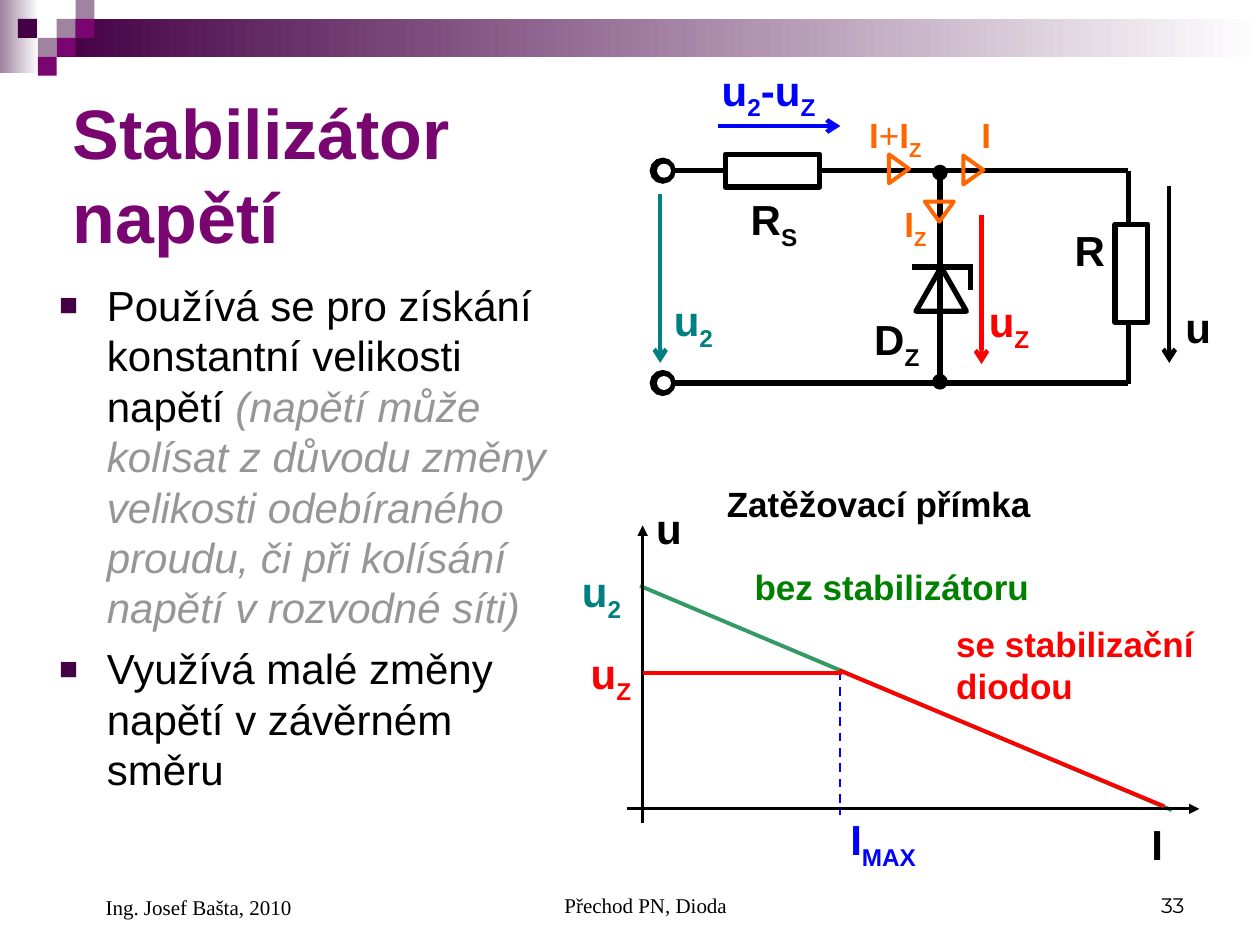
from typing import NamedTuple

from lxml import etree
from pptx import Presentation
from pptx.dml.color import RGBColor
from pptx.enum.dml import MSO_LINE
from pptx.enum.shapes import MSO_CONNECTOR, MSO_SHAPE
from pptx.enum.text import MSO_ANCHOR, PP_ALIGN
from pptx.oxml.ns import qn
from pptx.util import Inches, Pt

RECT, OVAL, TRI = MSO_SHAPE.RECTANGLE, MSO_SHAPE.OVAL, MSO_SHAPE.ISOSCELES_TRIANGLE
STRAIGHT, DASH = MSO_CONNECTOR.STRAIGHT, MSO_LINE.DASH
TOP, MIDDLE, BOTTOM = MSO_ANCHOR.TOP, MSO_ANCHOR.MIDDLE, MSO_ANCHOR.BOTTOM
LEFT, CENTER, RIGHT = PP_ALIGN.LEFT, PP_ALIGN.CENTER, PP_ALIGN.RIGHT


class Theme:
    black, white, grey = "000000", "FFFFFF", "969696"
    dark, plum, mauve = "440044", "790571", "9F839F"
    teal, red, blue, orange = "008080", "FF0000", "0000FF", "FF6600"
    green, sea = "008000", "339966"
    title, body, note, footer = 40, 24, 20, 12
    wire, arrow, mark, axis, guide = 3, 2.5, 2.25, 1.75, 1.25
    sans, serif, number = "Arial", "Times New Roman", "Montserrat"


class Box(NamedTuple):
    """Left, top, width and height in grid columns and rows."""
    x: float
    y: float
    w: float
    h: float


class Wire(NamedTuple):
    x1: float
    y1: float
    x2: float
    y2: float
    color: str = Theme.black
    width: float = Theme.wire
    head: str = ""
    tail: str = ""
    end_size: str = "med"
    dash: bool = False


class Label(NamedTuple):
    """Text where every second part between bars is a subscript."""
    text: str
    box: Box
    color: str = Theme.black
    size: float = Theme.body


class Footer(NamedTuple):
    text: str
    box: Box
    align: PP_ALIGN
    font: str
    indent: float


prs = Presentation()
prs.slide_width, prs.slide_height = Inches(10), Inches(7.5)
COL, ROW = prs.slide_width / 100, prs.slide_height / 75
s = prs.slides.add_slide(prs.slide_layouts[6])


def place(box: Box) -> tuple:
    return int(box.x * COL), int(box.y * ROW), int(box.w * COL), int(box.h * ROW)


def rgb(color: str) -> RGBColor:
    return RGBColor.from_string(color)


def add_shape(kind: MSO_SHAPE, box: Box, fill: str = "", line: str = "",
              width: float = Theme.wire, rotation: float = 0, fade: bool = False) -> None:
    sp = s.shapes.add_shape(kind, *place(box))
    sp.shadow.inherit = False
    sp.rotation = rotation
    if fade:
        sp.fill.gradient()
        sp.fill.gradient_angle = 180
        for stop, color in zip(sp.fill.gradient_stops, (Theme.white, fill)):
            stop.color.rgb = rgb(color)
        sp.fill.gradient_stops[0].position, sp.fill.gradient_stops[1].position = 0, 1
    elif fill:
        sp.fill.solid()
        sp.fill.fore_color.rgb = rgb(fill)
    else:
        sp.fill.background()
    if line:
        sp.line.color.rgb, sp.line.width = rgb(line), Pt(width)
    else:
        sp.line.fill.background()


def add_wire(wire: Wire) -> None:
    ends = [int(v * unit) for v, unit in zip(wire[:4], (COL, ROW, COL, ROW))]
    sp = s.shapes.add_connector(STRAIGHT, *ends)
    sp.line.color.rgb, sp.line.width = rgb(wire.color), Pt(wire.width)
    if wire.dash:
        sp.line.dash_style = DASH
    ln = sp.line._get_or_add_ln()
    for tag, end in (("a:headEnd", wire.head), ("a:tailEnd", wire.tail)):
        if end:
            etree.SubElement(ln, qn(tag), type=end, w=wire.end_size, len=wire.end_size)
    etree.SubElement(sp._element.spPr, qn("a:effectLst"))


def add_frame(box: Box, anchor: MSO_ANCHOR = TOP):
    tf = s.shapes.add_textbox(*place(box)).text_frame
    tf.word_wrap, tf.vertical_anchor = True, anchor
    return tf


def add_run(p, text: str, color: str, size: float, name: str = Theme.sans, **style):
    r = p.add_run()
    r.text = text
    r.font.color.rgb = rgb(color)
    for key, value in {"size": Pt(size), "name": name, **style}.items():
        setattr(r.font, key, value)
    return r


def add_label(label: Label) -> None:
    p = add_frame(label.box).paragraphs[0]
    for i, part in enumerate(label.text.split("|")):
        if part:
            r = add_run(p, part, label.color, label.size, bold=part != "+")
            if i % 2:
                r.font._element.set("baseline", "-25000")


def add_bullet(p, color: str) -> None:
    pPr = p._p.get_or_add_pPr()
    pPr.set("marL", str(Inches(0.38)))
    pPr.set("indent", str(-Inches(0.38)))
    clr = etree.SubElement(pPr, qn("a:buClr"))
    etree.SubElement(clr, qn("a:srgbClr"), val=color)
    etree.SubElement(pPr, qn("a:buSzPct"), val="75000")
    etree.SubElement(pPr, qn("a:buFont"), typeface=Theme.sans)
    etree.SubElement(pPr, qn("a:buChar"), char="■")


# Header band and its checkered squares
add_shape(RECT, Box(0, 0, 3.1, 5.8), Theme.mauve, fade=True)
add_shape(RECT, Box(4.5, 1.5, 95.5, 3), Theme.dark, fade=True)
TILE = 1.5
for col, row, color in ((3, 1, Theme.mauve), (4, 0, Theme.mauve), (4, 1, Theme.plum),
                        (2, 2, Theme.mauve), (0.95, 1, Theme.dark),
                        (3, 2, Theme.plum), (2, 3, Theme.plum)):
    add_shape(RECT, Box(col * TILE, row * TILE, TILE, TILE), color)

# Title and bullets
p = add_frame(Box(4.8, 6, 40.7, 15.5), MIDDLE).paragraphs[0]
add_run(p, "Stabilizátor napětí", Theme.plum, Theme.title, bold=True)
BULLETS = (
    ("Používá se pro získání konstantní velikosti napětí ",
     "(napětí může kolísat z důvodu změny velikosti odebíraného proudu, "
     "či při kolísání napětí v rozvodné síti)"),
    ("Využívá malé změny napětí v závěrném směru", ""),
)
tf = add_frame(Box(3.7, 21.7, 42.2, 43))
for i, (fact, aside) in enumerate(BULLETS):
    p = tf.add_paragraph() if i else tf.paragraphs[0]
    p.space_before = Pt(6 if i else 0)
    add_bullet(p, Theme.dark)
    add_run(p, fact, Theme.black, Theme.body)
    if aside:
        add_run(p, aside, Theme.grey, Theme.body, italic=True)

# Circuit: voltage arrows, Zener branch, load and terminals
UPPER, LOWER, NODE, LOAD = 13.55, 30.4, 74.6, 89.55
for wire in (
    Wire(52.4, 15.4, 52.4, 28.8, Theme.teal, Theme.arrow, tail="arrow"),
    Wire(77.9, 17.1, 77.9, 28.9, Theme.red, Theme.arrow, tail="arrow"),
    Wire(57, 10, 66.7, 10, Theme.blue, Theme.arrow, tail="arrow"),
    Wire(92.8, 14.8, 92.8, 28.8, width=Theme.arrow, tail="arrow"),
    Wire(NODE, 30.3, NODE, 13.7, head="oval", tail="oval"),
    Wire(77.2, 21.2, 72.4, 21.2),
    Wire(77, 23, 77, 21.1),
    Wire(LOAD, UPPER, LOAD, 17.7),
    Wire(LOAD, 25.8, LOAD, 30.5),
    Wire(55.5, LOWER, LOAD, LOWER),
    Wire(65.1, UPPER, LOAD, UPPER),
):
    add_wire(wire)
for y in (UPPER, LOWER):
    add_wire(Wire(52.6, y, 57.5, y, head="oval", end_size="lg"))
    add_shape(OVAL, Box(52.2, y - 0.5, 1, 1), Theme.white, Theme.white, 0.75)
add_shape(TRI, Box(72.7, 21.2, 4, 3.5), line=Theme.black)
add_shape(RECT, Box(88.5, 17.8, 2.6, 7.8), line=Theme.black)
add_shape(RECT, Box(57.55, 12.25, 7.5, 2.6), line=Theme.black)
for x, y, turn in ((76.1, 12.7, 90), (73.4, 16, 180), (70.2, 12.6, 90)):
    add_shape(TRI, Box(x, y, 2.3, 1.6), line=Theme.orange, width=Theme.mark, rotation=turn)

# Load line graph
for wire in (
    Wire(50.8, 46.5, 93, 64.3, Theme.sea, Theme.mark),
    Wire(51, 65.3, 51, 41.7, width=Theme.axis, tail="triangle"),
    Wire(49.8, 64.2, 95.2, 64.2, width=Theme.axis, tail="triangle"),
    Wire(66.7, 53.3, 66.7, 64.7, Theme.blue, Theme.guide, dash=True),
    Wire(66.6, 53.2, 92.4, 64, Theme.red, Theme.mark),
    Wire(51, 53.4, 66.8, 53.4, Theme.red, Theme.mark),
):
    add_wire(wire)

# Labels of the circuit and the graph
for label in (
    Label("u|2", Box(52.5, 22.9, 8.7, 5.6), Theme.teal),
    Label("u|Z", Box(77.5, 23, 7.4, 5.6), Theme.red),
    Label("D|Z", Box(68.4, 24.4, 6.7, 5.6)),
    Label("u|2|-u|Z", Box(56.3, 4.6, 11.4, 5.6), Theme.blue),
    Label("I", Box(76.9, 8.5, 3, 4.4), Theme.orange, Theme.note),
    Label("I|Z", Box(70.8, 15.6, 4.3, 4.8), Theme.orange, Theme.note),
    Label("I||+||I|Z", Box(68, 8.5, 7.2, 4.8), Theme.orange, Theme.note),
    Label("R|S", Box(58.6, 14.9, 6.7, 5.6)),
    Label("R", Box(84.3, 17.3, 4, 5)),
    Label("u", Box(93.1, 23.4, 3.9, 5)),
    Label("u", Box(51.1, 39.4, 6.6, 5)),
    Label("I", Box(90.4, 64.5, 6.6, 5)),
    Label("u|2", Box(45.2, 44.4, 8.8, 5.6), Theme.teal),
    Label("u|Z", Box(45.9, 50.9, 7.4, 5.6), Theme.red),
    Label("I|MAX", Box(66.5, 64.1, 8.4, 5.6), Theme.blue),
    Label("Zatěžovací přímka", Box(56.7, 37.8, 26.7, 4.4), size=Theme.note),
    Label("bez stabilizátoru", Box(58.9, 44.4, 26.7, 4.4), Theme.green, Theme.note),
    Label("se stabilizační diodou", Box(74.9, 48.9, 21.5, 7.7), Theme.red, Theme.note),
):
    add_label(label)

# Footer
for foot in (
    Footer("Ing. Josef Bašta, 2010", Box(5, 68.3, 23.3, 5.2), LEFT, Theme.serif, 0.24),
    Footer("Přechod PN, Dioda", Box(34.2, 68.3, 31.7, 5), CENTER, Theme.serif, 0.24),
    Footer("33", Box(71.7, 68.3, 23.3, 5), RIGHT, Theme.number, 0),
):
    p = add_frame(foot.box, BOTTOM).paragraphs[0]
    p.alignment = foot.align
    p._p.get_or_add_pPr().set("marL", str(Inches(foot.indent)))
    add_run(p, foot.text, Theme.black, Theme.footer, foot.font)

prs.save("out.pptx")
